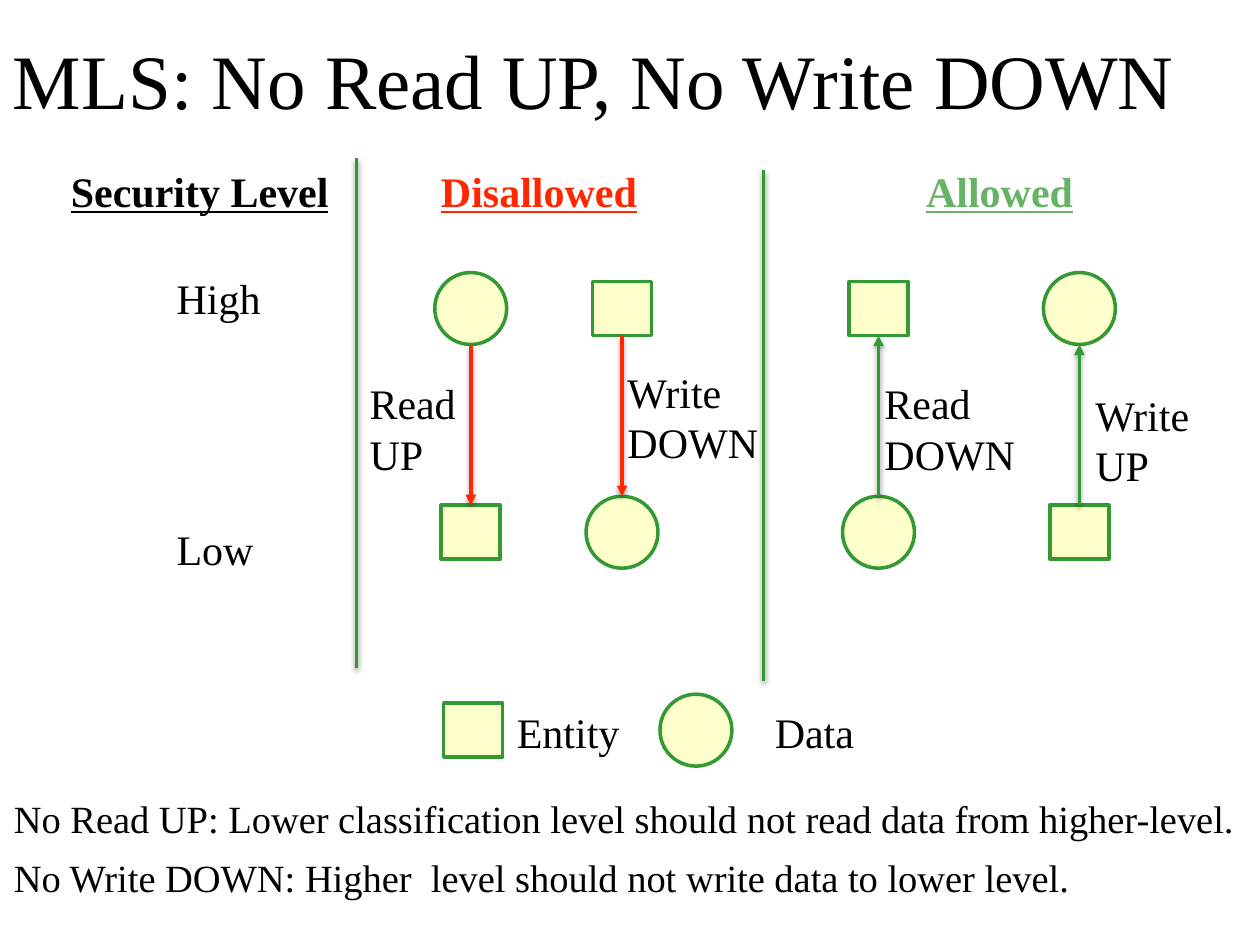
"""Build the slide on multilevel security read and write rules."""
import pptx
import pptx.dml.color
import pptx.enum.shapes
import pptx.enum.text
import pptx.oxml
import pptx.oxml.ns
import pptx.util

Cm, Pt = pptx.util.Cm, pptx.util.Pt
MSO_SHAPE = pptx.enum.shapes.MSO_SHAPE

COLORS = {"text": "000000", "red": "FF2600", "green": "339933",
          "allowed": "66B366", "fill": "FFFFCC"}
FONT = "Times New Roman"
INSET = 0.13
LINE_WIDTH = 2

TITLE = "MLS: No Read UP, No Write DOWN"
HEADINGS = [
    ("Security Level", 1.3, 5.49, "text"),
    ("Disallowed", 8.76, 4.24, "red"),
    ("Allowed", 18.54, 3.25, "allowed"),
]
HEADING_TOP = 3.2
LABELS = [
    ("Data", 15.49, 14.12, 1.9),
    ("Entity", 10.29, 14.12, 2.36),
    ("Write\nUP", 21.95, 7.72, 2.62),
    ("Read\nDOWN", 17.7, 7.49, 2.92),
    ("Read\nUP", 7.32, 7.49, 2.46),
    ("Write\nDOWN", 12.52, 7.26, 2.92),
]
LEVELS = "High\nLow"
RULES = ("No Read UP: Lower classification level should not read data from higher-level.\n"
         "No Write DOWN: Higher  level should not write data to lower level.")

SHAPES = {"entity": (MSO_SHAPE.RECTANGLE, 1.19, 1.09),
          "data": (MSO_SHAPE.OVAL, 1.45, 1.45)}
HIGH_Y, LOW_Y, LEGEND_Y = 6.22, 10.73, 14.72
FLOWS = [
    (9.49, "data", "entity", "down"),
    (12.54, "entity", "data", "down"),
    (17.71, "entity", "data", "up"),
    (21.76, "data", "entity", "up"),
]
LEGEND = [("entity", 9.54), ("data", 14.03)]
DIVIDERS = [(7.19, 3.18), (15.39, 3.43)]
DIVIDER_LENGTH = 10.29

SHADOW = ('<a:effectLst %s><a:outerShdw blurRad="38100" dist="20320" dir="5400000" rotWithShape="0">'
          '<a:srgbClr val="000000"><a:alpha val="38000"/></a:srgbClr></a:outerShdw></a:effectLst>'
          % pptx.oxml.ns.nsdecls("a"))
ARROWHEAD = '<a:tailEnd %s type="triangle"/>' % pptx.oxml.ns.nsdecls("a")


def rgb(name):
    return pptx.dml.color.RGBColor.from_string(COLORS[name])


def set_text(sp, text, size, color="text", heading=False, gap=0):
    tf = sp.text_frame
    tf.text = text
    tf.word_wrap = True
    tf.auto_size = pptx.enum.text.MSO_AUTO_SIZE.NONE
    tf.margin_left = tf.margin_right = tf.margin_top = tf.margin_bottom = Cm(INSET)
    for i, p in enumerate(tf.paragraphs):
        p.alignment = pptx.enum.text.PP_ALIGN.LEFT
        p.line_spacing = Pt(size * 1.2)
        p.space_before = Pt(gap if i else 0)
        for r in p.runs:
            r.font.name = FONT
            r.font.size = Pt(size)
            r.font.color.rgb = rgb(color)
            if heading:
                r.font.bold = r.font.underline = True


def add_text(s, text, left, top, width, height, size=24, **style):
    sp = s.shapes.add_textbox(Cm(left), Cm(top), Cm(width), Cm(height))
    set_text(sp, text, size, **style)


def add_node(s, kind, x, y):
    preset, width, height = SHAPES[kind]
    sp = s.shapes.add_shape(preset, Cm(x - width / 2), Cm(y - height / 2), Cm(width), Cm(height))
    sp.shadow.inherit = False
    sp.fill.solid()
    sp.fill.fore_color.rgb = rgb("fill")
    sp.line.color.rgb = rgb("green")
    sp.line.width = Pt(LINE_WIDTH)


def add_line(s, x, start, end, color, arrow=False):
    line = s.shapes.add_connector(pptx.enum.shapes.MSO_CONNECTOR.STRAIGHT,
                                  Cm(x), Cm(start), Cm(x), Cm(end))
    line.line.color.rgb = rgb(color)
    line.line.width = Pt(LINE_WIDTH)
    if arrow:
        line.line._get_or_add_ln().append(pptx.oxml.parse_xml(ARROWHEAD))
    line._element.spPr.append(pptx.oxml.parse_xml(SHADOW))


def add_flow(s, x, upper, lower, direction):
    add_node(s, upper, x, HIGH_Y)
    add_node(s, lower, x, LOW_Y)
    top = HIGH_Y + SHAPES[upper][2] / 2
    bottom = LOW_Y - SHAPES[lower][2] / 2
    if direction == "down":
        add_line(s, x, top, bottom, "red", arrow=True)
    else:
        add_line(s, x, bottom, top, "green", arrow=True)


def main():
    prs = pptx.Presentation()
    prs.slide_width, prs.slide_height = Cm(25.4), Cm(19.05)
    s = prs.slides.add_slide(prs.slide_layouts[5])

    title = s.shapes.title
    title.left, title.top, title.width, title.height = Cm(0.13), Cm(0), Cm(24.84), Cm(3.18)
    set_text(title, TITLE, 44)
    title.text_frame.vertical_anchor = pptx.enum.text.MSO_ANCHOR.MIDDLE

    for kind, x in LEGEND:
        add_node(s, kind, x, LEGEND_Y)
    for text, left, width, color in HEADINGS:
        add_text(s, text, left, HEADING_TOP, width, 1.17, color=color, heading=True)
    add_text(s, LEVELS, 3.43, 5.36, 2.18, 5.94, gap=115)
    for flow in FLOWS:
        add_flow(s, *flow)
    for text, left, top, width in LABELS:
        add_text(s, text, left, top, width, 2.13 if "\n" in text else 1.17)
    for x, top in DIVIDERS:
        add_line(s, x, top + DIVIDER_LENGTH, top, "green")
    add_text(s, RULES, 0.15, 15.9, 25.12, 2.34, size=22, gap=7)
    prs.save("out.pptx")


if __name__ == "__main__":
    main()
